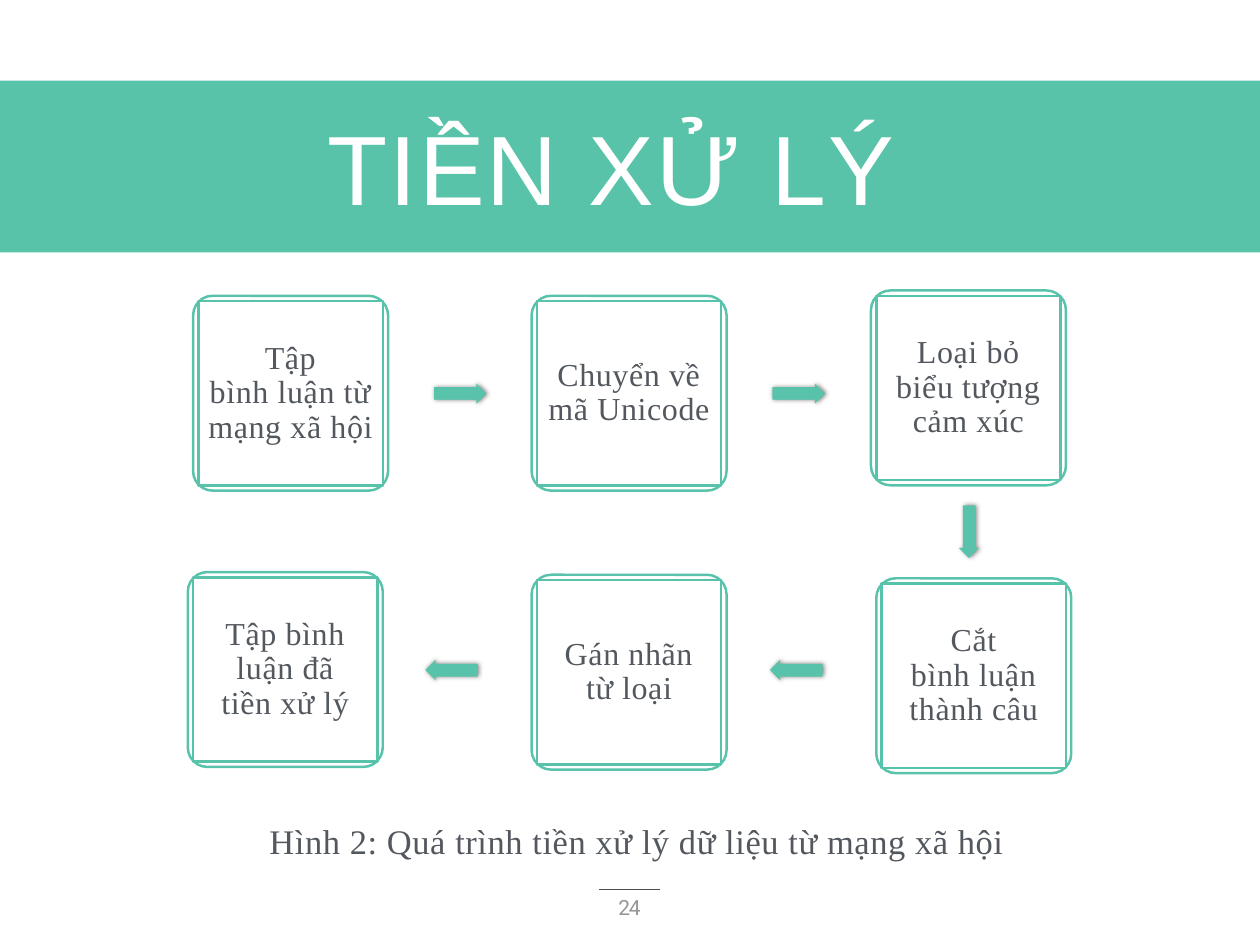
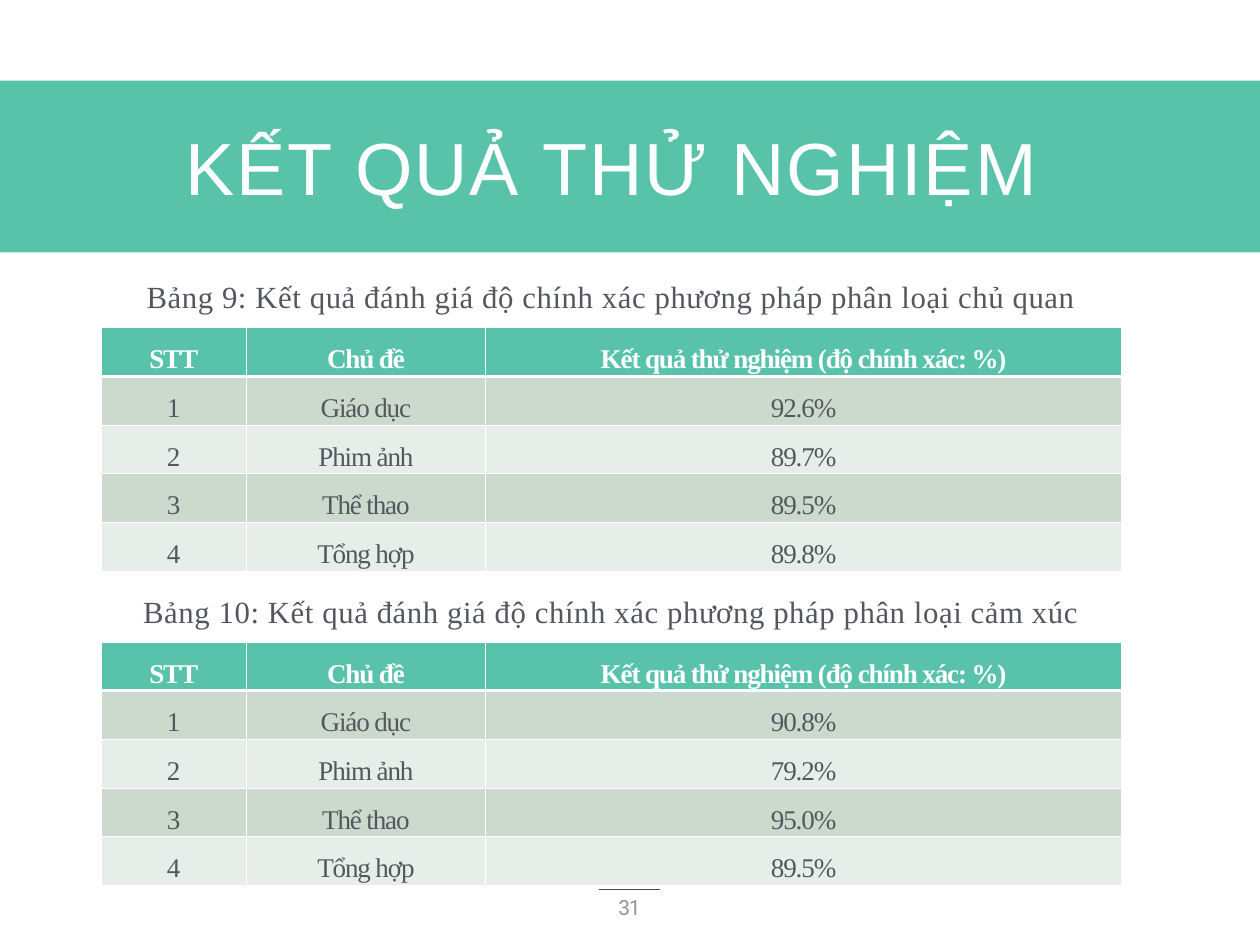
from dataclasses import dataclass

import pptx
import pptx.dml.color
import pptx.enum.shapes
import pptx.enum.text
import pptx.oxml
import pptx.oxml.ns
import pptx.util
from lxml import etree

Inches = pptx.util.Inches
Pt = pptx.util.Pt
Kind = pptx.enum.shapes.MSO_SHAPE
Anchor = pptx.enum.text.MSO_ANCHOR
Align = pptx.enum.text.PP_ALIGN
qn = pptx.oxml.ns.qn


@dataclass(frozen=True)
class Theme:
    green: str = "58C3AA"
    band: str = "58C3A9"
    white: str = "FFFFFF"
    ink: str = "53585F"
    gray: str = "959595"
    rule: str = "4C4C4C"
    dark: str = "CCDACD"
    light: str = "E7EDE8"
    serif: str = "Times New Roman"
    sans: str = "Arial"
    page: str = "Roboto"
    card_size: int = 26
    note_size: int = 28
    label_size: int = 25
    cell_size: int = 22
    page_size: int = 17


@dataclass(frozen=True)
class Card:
    left: float
    top: float
    text: str


@dataclass(frozen=True)
class Arrow:
    left: float
    top: float
    turn: int


@dataclass(frozen=True)
class Result:
    label: str
    top: float
    scores: tuple[str, ...]


THEME = Theme()

CARDS = [
    Card(2.18, 3.34, "Tập\vbình luận từ\vmạng xã hội"),
    Card(6, 3.34, "Chuyển về\vmã Unicode"),
    Card(9.83, 3.28, "Loại bỏ\vbiểu tượng\vcảm xúc"),
    Card(9.89, 6.53, "Cắt\vbình luận\vthành câu"),
    Card(6, 6.49, "Gán nhãn\vtừ loại"),
    Card(2.12, 6.46, "Tập bình\vluận đã\vtiền xử lý"),
]
ARROWS = [
    Arrow(4.9, 4.33, 0),
    Arrow(8.72, 4.33, 0),
    Arrow(10.64, 5.89, 90),
    Arrow(8.69, 7.45, 180),
    Arrow(4.8, 7.45, 180),
]

HEAD = ("STT", "Chủ đề", "Kết quả thử nghiệm (độ chính xác: %)")
TOPICS = ("Giáo dục", "Phim ảnh", "Thể thao", "Tổng hợp")
COLS = (1.64, 2.7, 7.18)
ROW = 0.55
RESULTS = [
    Result("Bảng 9: Kết quả đánh giá độ chính xác phương pháp phân loại chủ quan",
           3.04, ("92.6%", "89.7%", "89.5%", "89.8%")),
    Result("Bảng 10: Kết quả đánh giá độ chính xác phương pháp phân loại cảm xúc",
           6.59, ("90.8%", "79.2%", "95.0%", "89.5%")),
]


def rgb(code: str) -> pptx.dml.color.RGBColor:
    return pptx.dml.color.RGBColor.from_string(code)


def write(frame, text: str, *, size: float, font: str = THEME.serif,
          color: str = THEME.ink, bold: bool = False, space: float = 0.5,
          lead: float = 1.0, before: float = 0, after: float = 0) -> None:
    """Put centred text in a frame; space is letter spacing in points."""
    para = frame.paragraphs[0]
    para.text = text
    para.alignment = Align.CENTER
    para.line_spacing = lead
    para.space_before, para.space_after = Pt(before), Pt(after)
    for run in para.runs:
        run.font.size, run.font.name, run.font.bold = Pt(size), font, bold
        run.font.color.rgb = rgb(color)
        run.font._element.set("spc", str(round(space * 100)))


def set_frame(frame, inset: float) -> None:
    frame.word_wrap = True
    frame.auto_size = pptx.enum.text.MSO_AUTO_SIZE.NONE
    frame.vertical_anchor = Anchor.MIDDLE
    frame.margin_left = frame.margin_right = Inches(inset)
    frame.margin_top = frame.margin_bottom = Inches(inset)


def add_text(slide, box: tuple[float, ...], text: str, inset: float, **form) -> None:
    frame = slide.shapes.add_textbox(*map(Inches, box)).text_frame
    set_frame(frame, inset)
    write(frame, text, **form)


def add_block(shapes, kind, box: tuple[float, ...], fill: str, line: str = ""):
    block = shapes.add_shape(kind, *map(Inches, box))
    block.shadow.inherit = False
    block.fill.solid()
    block.fill.fore_color.rgb = rgb(fill)
    if line:
        block.line.color.rgb = rgb(line)
        block.line.width = Pt(2)
    else:
        block.line.fill.background()
    return block


# Shared parts: band and page rule live on the layout
def dress(slide) -> None:
    band = add_block(slide.shapes, Kind.RECTANGLE, (0, 0.91, 14.22, 1.94), THEME.band)
    rule = slide.shapes.add_connector(
        pptx.enum.shapes.MSO_CONNECTOR.STRAIGHT,
        Inches(6.76), Inches(10.04), Inches(7.45), Inches(10.04))
    rule.line.color.rgb = rgb(THEME.rule)
    rule.line.width = Pt(0.5)
    etree.SubElement(rule.element.spPr, qn("a:effectLst"))
    tree = slide.slide_layout.shapes.element
    for num, part in enumerate((band, rule), 20):
        part.element.xpath(".//p:cNvPr")[0].set("id", str(num))
        tree.append(part.element)


def add_slide(deck, title: str, size: int, page: str):
    slide = deck.slides.add_slide(deck.slide_layouts[5])
    head = slide.shapes.title
    head.left, head.top = Inches(1.14), Inches(1.11)
    head.width, head.height = Inches(11.52), Inches(1.53)
    set_frame(head.text_frame, 0)
    write(head.text_frame, title, size=size, font=THEME.sans,
          color=THEME.white, space=1.6)
    add_text(slide, (6.82, 10.05, 0.57, 0.42), page, 0.05, size=THEME.page_size,
             font=THEME.page, color=THEME.gray, space=-0.9, lead=0.9)
    return slide


# Flow chart parts
def add_card(slide, card: Card) -> None:
    shapes = slide.shapes.add_group_shape().shapes
    outer = add_block(shapes, Kind.ROUNDED_RECTANGLE,
                      (card.left, card.top, 2.2, 2.2), THEME.white, THEME.green)
    outer.adjustments[0] = 0.1
    inner = add_block(shapes, Kind.RECTANGLE,
                      (card.left + 0.06, card.top + 0.06, 2.08, 2.08),
                      THEME.white, THEME.green)
    set_frame(inner.text_frame, 0.07)
    write(inner.text_frame, card.text, size=THEME.card_size, lead=0.9)


def add_arrow(slide, arrow: Arrow) -> None:
    group = slide.shapes.add_group_shape()
    head = add_block(group.shapes, Kind.RIGHT_ARROW,
                     (arrow.left, arrow.top, 0.59, 0.23), THEME.green)
    head.adjustments[0] = 0.6
    head.adjustments[1] = 0.5
    head.element.spPr.find(qn("a:effectLst")).append(pptx.oxml.parse_xml(
        '<a:outerShdw xmlns:a="http://schemas.openxmlformats.org/drawingml/2006/main"'
        f' blurRad="{Pt(4)}" dist="{Pt(1)}" dir="0" rotWithShape="0">'
        '<a:srgbClr val="000000"><a:alpha val="50000"/></a:srgbClr></a:outerShdw>'))
    add_block(group.shapes, Kind.RECTANGLE,
              (arrow.left, arrow.top + 0.04, 0.52, 0.14), THEME.green)
    group.rotation = arrow.turn


# Table parts
def set_edges(cell, top: float, bottom: float) -> None:
    props = cell._tc.get_or_add_tcPr()
    for side, width in (("L", 1), ("R", 1), ("T", top), ("B", bottom)):
        edge = etree.SubElement(props, qn(f"a:ln{side}"), w=str(Pt(width)))
        fill = etree.SubElement(edge, qn("a:solidFill"))
        etree.SubElement(fill, qn("a:srgbClr"), val=THEME.white)


def add_result(slide, result: Result) -> None:
    add_text(slide, (1.14, result.top, 11.52, 0.57), result.label, 0.06,
             size=THEME.label_size, lead=1.1)
    rows = [HEAD] + [(str(num), topic, score) for num, (topic, score)
                     in enumerate(zip(TOPICS, result.scores), 1)]
    table = slide.shapes.add_table(
        len(rows), len(COLS), Inches(1.14), Inches(result.top + 0.66),
        Inches(sum(COLS)), Inches(ROW * len(rows))).table
    for col, width in zip(table.columns, COLS):
        col.width = Inches(width)
    for i, texts in enumerate(rows):
        top = i == 0
        fill = THEME.green if top else THEME.dark if i % 2 else THEME.light
        for j, text in enumerate(texts):
            cell = table.cell(i, j)
            set_edges(cell, 3 if i == 1 else 1, 3 if top else 1)
            cell.fill.solid()
            cell.fill.fore_color.rgb = rgb(fill)
            cell.vertical_anchor = Anchor.MIDDLE
            cell.margin_left = cell.margin_right = Inches(0.07)
            cell.margin_top = cell.margin_bottom = 0
            write(cell.text_frame, text, size=THEME.cell_size, bold=top,
                  color=THEME.white if top else THEME.ink, space=-0.9,
                  lead=1.5, before=26, after=6)


def main() -> None:
    deck = pptx.Presentation()
    deck.slide_width, deck.slide_height = Inches(14.22), Inches(10.67)

    # Preprocessing flow
    flow = add_slide(deck, "TIỀN XỬ LÝ", 80, "24")
    dress(flow)
    for card in CARDS:
        add_card(flow, card)
    for arrow in ARROWS:
        add_arrow(flow, arrow)
    add_text(flow, (0.67, 9.15, 13.04, 0.63),
             "Hình 2: Quá trình tiền xử lý dữ liệu từ mạng xã hội", 0.06,
             size=THEME.note_size, lead=1.1)

    # Test results
    tests = add_slide(deck, "KẾT QUẢ THỬ NGHIỆM", 60, "31")
    for result in RESULTS:
        add_result(tests, result)

    deck.save("out.pptx")


if __name__ == "__main__":
    main()
